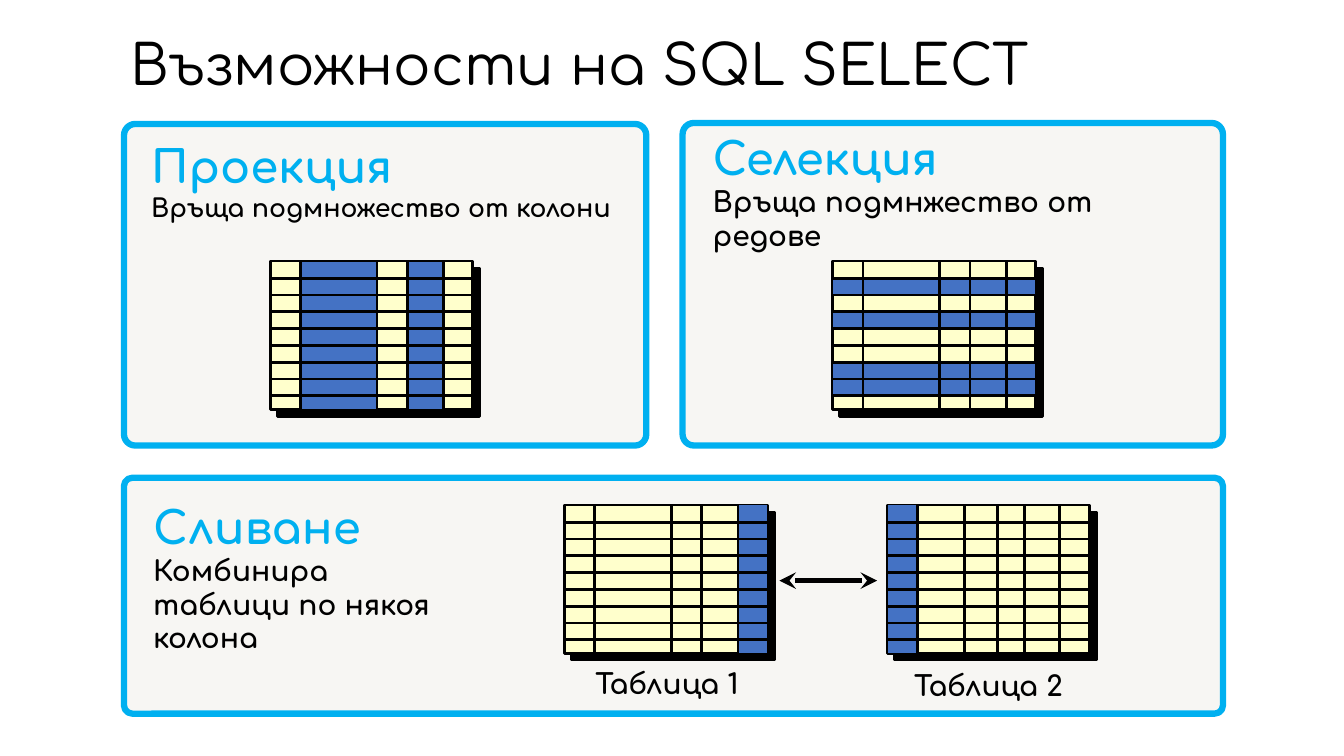
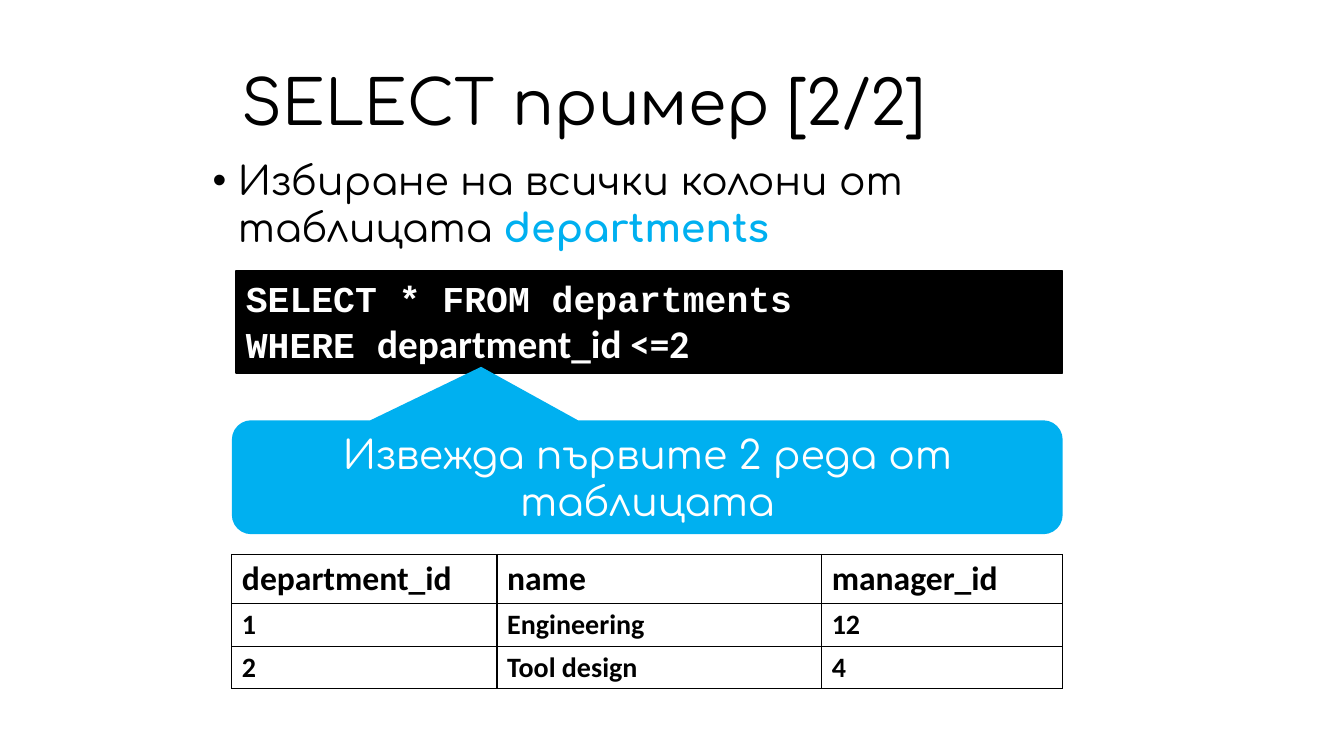
import pptx
import pptx.dml.color
import pptx.enum.shapes
import pptx.enum.text
import pptx.oxml
import pptx.oxml.ns
import pptx.util
from lxml import etree

SHAPE = pptx.enum.shapes.MSO_SHAPE
ALIGN = pptx.enum.text.PP_ALIGN
ANCHOR = pptx.enum.text.MSO_ANCHOR
AUTO_SIZE = pptx.enum.text.MSO_AUTO_SIZE
qn = pptx.oxml.ns.qn

EMU_PER_PX = 9144  # 100 px to the inch
GRID_WIDTH, GRID_HEIGHT = 201, 147
GRID_ROWS = 9
FIRST_ROW, ROW_PITCH = 17, 50 / 3
COLUMN_LINES = (30, 106, 136, 172)


def px(length):
    return pptx.util.Emu(round(length * EMU_PER_PX))


def add_xml(parent, tag, **attributes):
    return etree.SubElement(parent, qn(tag), attributes)


class Deck:
    """Holds the style, the current slide and the shape tree being filled."""

    COLORS = {
        "accent": "00B0F0", "panel": "D9D5C7", "cell": "FFFFCC",
        "highlight": "4472C4", "ink": "000000", "paper": "FFFFFF",
    }
    FONT = "Comfortaa"
    CODE_FONT = "Courier New"
    TABLE_FONT = "Calibri"

    def __init__(self):
        self.presentation = pptx.Presentation()
        self.presentation.slide_width = px(1333)
        self.presentation.slide_height = px(750)
        self.slide = None
        self.shapes = None

    def color(self, name):
        return pptx.dml.color.RGBColor.from_string(self.COLORS[name])

    def new_slide(self, layout, title, box, size):
        self.slide = self.presentation.slides.add_slide(
            self.presentation.slide_layouts[layout])
        self.shapes = self.slide.shapes
        frame = self.place(self.shapes.title, box)
        frame.vertical_anchor = ANCHOR.MIDDLE
        paragraph = frame.paragraphs[0]
        paragraph.alignment = ALIGN.LEFT
        paragraph.line_spacing = 0.9
        self.run(paragraph, title, size)

    def start_group(self):
        self.shapes = self.slide.shapes.add_group_shape().shapes

    def place(self, placeholder, box):
        placeholder.left, placeholder.top, placeholder.width, placeholder.height = map(px, box)
        frame = placeholder.text_frame
        frame.word_wrap = True
        frame.auto_size = AUTO_SIZE.NONE
        return frame

    def run(self, paragraph, text, size, color="ink", bold=False, font=FONT):
        run = paragraph.add_run()
        run.text = text
        run.font.name = font
        run.font.size = pptx.util.Pt(size)
        run.font.bold = bold
        run.font.color.rgb = self.color(color)

    def bullet(self, box, runs):
        paragraph = self.place(self.slide.placeholders[1], box).paragraphs[0]
        paragraph.space_before = pptx.util.Pt(10)
        properties = paragraph._p.get_or_add_pPr()
        properties.set("marL", str(px(25)))
        properties.set("indent", str(px(-25)))
        add_xml(properties, "a:buChar", char="•")
        for text, color, bold in runs:
            self.run(paragraph, text, 28, color, bold)

    def shape(self, kind, box, fill, line=None, weight=1, adjustments=()):
        shape = self.shapes.add_shape(kind, *map(px, box))
        shape.shadow.inherit = False
        for index, value in enumerate(adjustments):
            shape.adjustments[index] = value
        shape.fill.solid()
        shape.fill.fore_color.rgb = self.color(fill)
        if line:
            shape.line.color.rgb = self.color(line)
            shape.line.width = pptx.util.Pt(weight)
        else:
            shape.line.fill.background()
        shape.text_frame.word_wrap = True
        return shape

    def panel(self, box):
        shape = self.shape(SHAPE.ROUNDED_RECTANGLE, box, "panel", "accent", 4.5, [0.035])
        fill_color = shape._element.spPr.find(qn("a:solidFill"))[0]
        add_xml(fill_color, "a:alpha", val="20000")

    def line(self, start, end, weight=2, arrows=False):
        connector = self.shapes.add_connector(
            pptx.enum.shapes.MSO_CONNECTOR.STRAIGHT, *map(px, start + end))
        connector.line.color.rgb = self.color("ink")
        connector.line.width = pptx.util.Pt(weight)
        if arrows:
            outline = connector.line._get_or_add_ln()
            for tag in ("a:headEnd", "a:tailEnd"):
                add_xml(outline, tag, type="stealth")
        add_xml(connector._element.spPr, "a:effectLst")

    def grid(self, left, top, column_lines=COLUMN_LINES, columns=(), rows=()):
        """Draws a small shadowed table sketch with some columns or rows highlighted."""
        sheet = self.shape(SHAPE.RECTANGLE, (left, top, GRID_WIDTH, GRID_HEIGHT),
                           "cell", "ink", 2)
        effects = sheet._element.spPr.find(qn("a:effectLst"))
        shadow = add_xml(effects, "a:outerShdw", dist=str(pptx.util.Pt(7.1)),
                         dir="2700000", algn="ctr", rotWithShape="0")
        add_xml(shadow, "a:srgbClr", val=self.COLORS["ink"])

        row_lines = [FIRST_ROW + index * ROW_PITCH for index in range(GRID_ROWS - 1)]
        x_edges = [0, *column_lines, GRID_WIDTH]
        y_edges = [0, *row_lines, GRID_HEIGHT]
        bands = [(left + x_edges[column], top, x_edges[column + 1] - x_edges[column],
                  GRID_HEIGHT) for column in columns]
        bands += [(left, top + y_edges[row], GRID_WIDTH, y_edges[row + 1] - y_edges[row])
                  for row in rows]
        for band in bands:
            self.shape(SHAPE.RECTANGLE, band, "highlight", "ink", 0.75)
        for x in column_lines:
            self.line((left + x, top), (left + x, top + GRID_HEIGHT))
        for y in row_lines:
            self.line((left, top + y), (left + GRID_WIDTH, top + y))

    def text(self, box, lines, alignment=ALIGN.LEFT, right_inset=10):
        """Adds a bold text box; lines holds (text, size, color) for each paragraph."""
        frame = self.shapes.add_textbox(*map(px, box)).text_frame
        frame.word_wrap = True
        frame.auto_size = AUTO_SIZE.SHAPE_TO_FIT_TEXT
        frame.margin_right = px(right_inset)
        for index, (text, size, color) in enumerate(lines):
            paragraph = frame.add_paragraph() if index else frame.paragraphs[0]
            paragraph.alignment = alignment
            self.run(paragraph, text, size, color, bold=True)

    def concept(self, box, heading, description, size=20, right_inset=10):
        self.text(box, [(heading, 32, "accent"), (description, size, "ink")],
                  right_inset=right_inset)

    def code(self, box, lines):
        frame = self.shape(SHAPE.RECTANGLE, box, "ink", "ink").text_frame
        frame.vertical_anchor = ANCHOR.TOP
        for index, runs in enumerate(lines):
            paragraph = frame.add_paragraph() if index else frame.paragraphs[0]
            paragraph.alignment = ALIGN.LEFT
            for text, size, font in runs:
                self.run(paragraph, text, size, "paper", True, font)

    def callout(self, box, text, adjustments):
        shape = self.shape(SHAPE.ROUNDED_RECTANGULAR_CALLOUT, box, "accent",
                           adjustments=adjustments)
        shape.text_frame.vertical_anchor = ANCHOR.MIDDLE
        paragraph = shape.text_frame.paragraphs[0]
        paragraph.alignment = ALIGN.CENTER
        self.run(paragraph, text, 28, "paper")

    def table(self, left, top, widths, heights, rows):
        table = self.shapes.add_table(len(rows), len(widths), px(left), px(top),
                                      px(sum(widths)), px(sum(heights))).table
        table.first_row = table.horz_banding = False
        for column, width in zip(table.columns, widths):
            column.width = px(width)
        for row_index, (row, height, values) in enumerate(zip(table.rows, heights, rows)):
            row.height = px(height)
            for cell, value in zip(row.cells, values):
                cell.fill.background()
                self.cell_borders(cell)
                paragraph = cell.text_frame.paragraphs[0]
                paragraph.line_spacing = 0.95
                self.run(paragraph, value, 20 if row_index else 24, bold=True,
                         font=self.TABLE_FONT)

    def cell_borders(self, cell):
        properties = cell._tc.get_or_add_tcPr()
        for index, side in enumerate(("a:lnL", "a:lnR", "a:lnT", "a:lnB")):
            border = add_xml(properties, side, w=str(pptx.util.Pt(1)))
            add_xml(add_xml(border, "a:solidFill"), "a:srgbClr", val=self.COLORS["ink"])
            properties.insert(index, border)


def build_capabilities(deck):
    deck.new_slide(5, "Възможности на SQL SELECT", (119, 36, 1150, 63), 39.6)

    deck.start_group()
    deck.panel((677, 122, 536, 320))
    deck.grid(826, 259, rows=(1, 3, 6, 7))
    deck.concept((697, 125, 511, 98), "Селекция", "Връща подмнжество от редове",
                 right_inset=25)

    deck.start_group()
    deck.panel((123, 123, 518, 319))
    deck.grid(268, 259, columns=(1, 3))
    deck.concept((140, 133, 479, 94), "Проекция", "Връща подмножество от колони", size=18)

    deck.start_group()
    deck.panel((123, 474, 1090, 234))
    deck.grid(560, 501, columns=(4,))
    deck.grid(880, 501, column_lines=(30, 77, 109, 136, 171), columns=(0,))
    deck.line((773, 576), (870, 576), weight=4, arrows=True)
    for left, top, caption in ((562, 656, "Таблица 1"), (881, 658, "Таблица 2")):
        deck.text((left, top, 199, 44), [(caption, 20, "ink")], ALIGN.CENTER)
    deck.concept((142, 491, 330, 165), "Сливане", "Комбинира таблици по някоя колона",
                 right_inset=30)


def build_example(deck):
    deck.new_slide(1, "SELECT пример [2/2]", (230, 48, 824, 113), 44)
    deck.bullet((201, 150, 934, 113), [
        ("Избиране на всички колони от таблицата ", "ink", False),
        ("departments", "accent", True),
    ])
    deck.code((234, 269, 820, 101), [
        [("SELECT * FROM departments", 26, deck.CODE_FONT)],
        [("WHERE ", 26, deck.CODE_FONT), ("department_id <=2", 28, deck.TABLE_FONT)],
    ])
    deck.table(230, 550, (263, 322, 239), (47, 42, 42), [
        ("department_id", "name", "manager_id"),
        ("1", "Engineering", "12"),
        ("2", "Tool design", "4"),
    ])
    deck.callout((230, 417, 824, 113), "Извежда първите 2 реда от таблицата",
                 (-0.2, -0.97, 0.17))


def main():
    deck = Deck()
    build_capabilities(deck)
    build_example(deck)
    deck.presentation.save("out.pptx")


if __name__ == "__main__":
    main()
